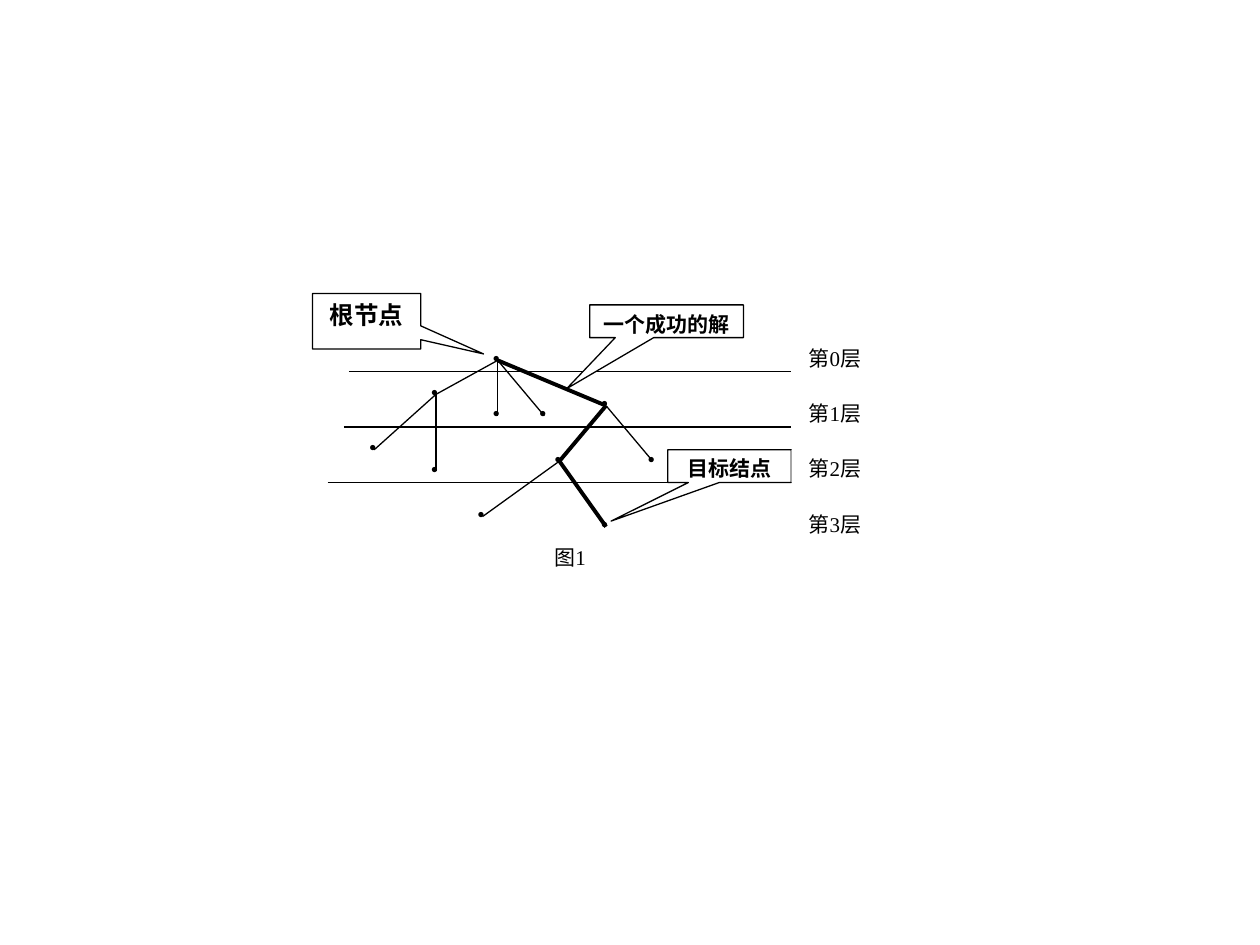
from pptx import Presentation
from pptx.dml.color import RGBColor
from pptx.enum.shapes import MSO_CONNECTOR, MSO_SHAPE
from pptx.enum.text import MSO_ANCHOR, PP_ALIGN
from pptx.oxml.ns import qn
from pptx.util import Inches, Pt
from lxml.etree import SubElement

COLORS = {"ink": "000000", "paper": "FFFFFF"}
FONT = "Times New Roman"
THIN, THICK = 0.75, 2.25
LEVEL_PITCH = 0.44

# Offsets from the left edge and the root's height
NODES = {
    "root": (0.98, 0),
    "a": (0.49, 0.27), "b": (0.98, 0.44), "c": (1.35, 0.44), "d": (1.84, 0.36),
    "a1": (0, 0.71), "a2": (0.49, 0.88), "d1": (1.47, 0.8), "d2": (2.21, 0.8),
    "d1a": (0.86, 1.24), "goal": (1.84, 1.32),
}
BRANCHES = [("root", "a"), ("root", "b"), ("root", "c"), ("root", "d"),
            ("a", "a1"), ("a", "a2"), ("d", "d1"), ("d", "d2"),
            ("d1", "d1a"), ("d1", "goal")]
SOLUTION = {("root", "d"), ("d", "d1"), ("d1", "goal")}


def color(name):
    return RGBColor.from_string(COLORS[name])


def write(shape, text, size, bold=False, left_inset=0.1):
    frame = shape.text_frame
    frame.word_wrap = False
    frame.vertical_anchor = MSO_ANCHOR.TOP
    frame.margin_left, frame.margin_right = Inches(left_inset), Inches(0.1)
    frame.margin_top = frame.margin_bottom = Inches(0.05)
    paragraph = frame.paragraphs[0]
    paragraph.alignment = PP_ALIGN.CENTER
    run = paragraph.add_run()
    run.text = text
    run.font.name = FONT
    run.font.size = Pt(size)
    run.font.bold = bold
    run.font.color.rgb = color("ink")


def add_line(slide, start, end, width=THIN):
    line = slide.shapes.add_connector(
        MSO_CONNECTOR.STRAIGHT, *(Inches(v) for v in (*start, *end)))
    line.line.color.rgb = color("ink")
    line.line.width = Pt(width)
    SubElement(line._element.spPr, qn("a:effectLst"))


def add_panel(slide, kind, box):
    panel = slide.shapes.add_shape(kind, *(Inches(v) for v in box))
    panel.shadow.inherit = False
    panel.fill.solid()
    panel.fill.fore_color.rgb = color("paper")
    return panel


def add_label(slide, text, box):
    label = add_panel(slide, MSO_SHAPE.RECTANGLE, box)
    label.line.fill.background()
    write(label, text, 12)


def add_callout(slide, text, box, tip, size=12):
    """Place a callout; tip is its offset from the centre in box widths and heights."""
    callout = add_panel(slide, MSO_SHAPE.RECTANGULAR_CALLOUT, box)
    callout.adjustments[0], callout.adjustments[1] = tip
    callout.line.color.rgb = color("ink")
    callout.line.width = Pt(THIN)
    write(callout, text, size, bold=True)


def add_level_rules(slide, left, top, width):
    for level, indent in enumerate((0.17, 0.13, 0)):
        y = top + level * LEVEL_PITCH
        add_line(slide, (left + indent, y), (left + width, y))


def add_level_labels(slide, left, top, width, height):
    for level in range(4):
        add_label(slide, f"第{level}层",
                  (left, top + level * LEVEL_PITCH, width, height))


def add_search_tree(slide, left, top):
    places = {name: (left + x, top + y) for name, (x, y) in NODES.items()}
    for parent, child in BRANCHES:
        width = THICK if (parent, child) in SOLUTION else THIN
        add_line(slide, places[parent], places[child], width)
    for x, y in places.values():
        dot = slide.shapes.add_textbox(
            Inches(x - 0.12), Inches(y - 0.13), Inches(0.2), Inches(0.22))
        write(dot, "●", 7, left_inset=0.08)


def main():
    deck = Presentation()
    deck.slide_width, deck.slide_height = Inches(10), Inches(7.5)
    slide = deck.slides.add_slide(deck.slide_layouts[6])
    add_level_rules(slide, 2.6, 2.95, 3.68)
    add_search_tree(slide, 2.97, 2.86)
    add_callout(slide, "根节点", (2.48, 2.33, 0.86, 0.44), (1.08, 0.59), size=14)
    add_callout(slide, "一个成功的解", (4.68, 2.42, 1.22, 0.26), (-0.65, 2.06))
    add_callout(slide, "目标结点", (5.3, 3.57, 0.98, 0.26), (-0.96, 1.68))
    add_level_labels(slide, 6.28, 2.69, 0.69, 0.26)
    add_label(slide, "图1", (4.28, 4.27, 0.49, 0.22))
    deck.save("out.pptx")


if __name__ == "__main__":
    main()
